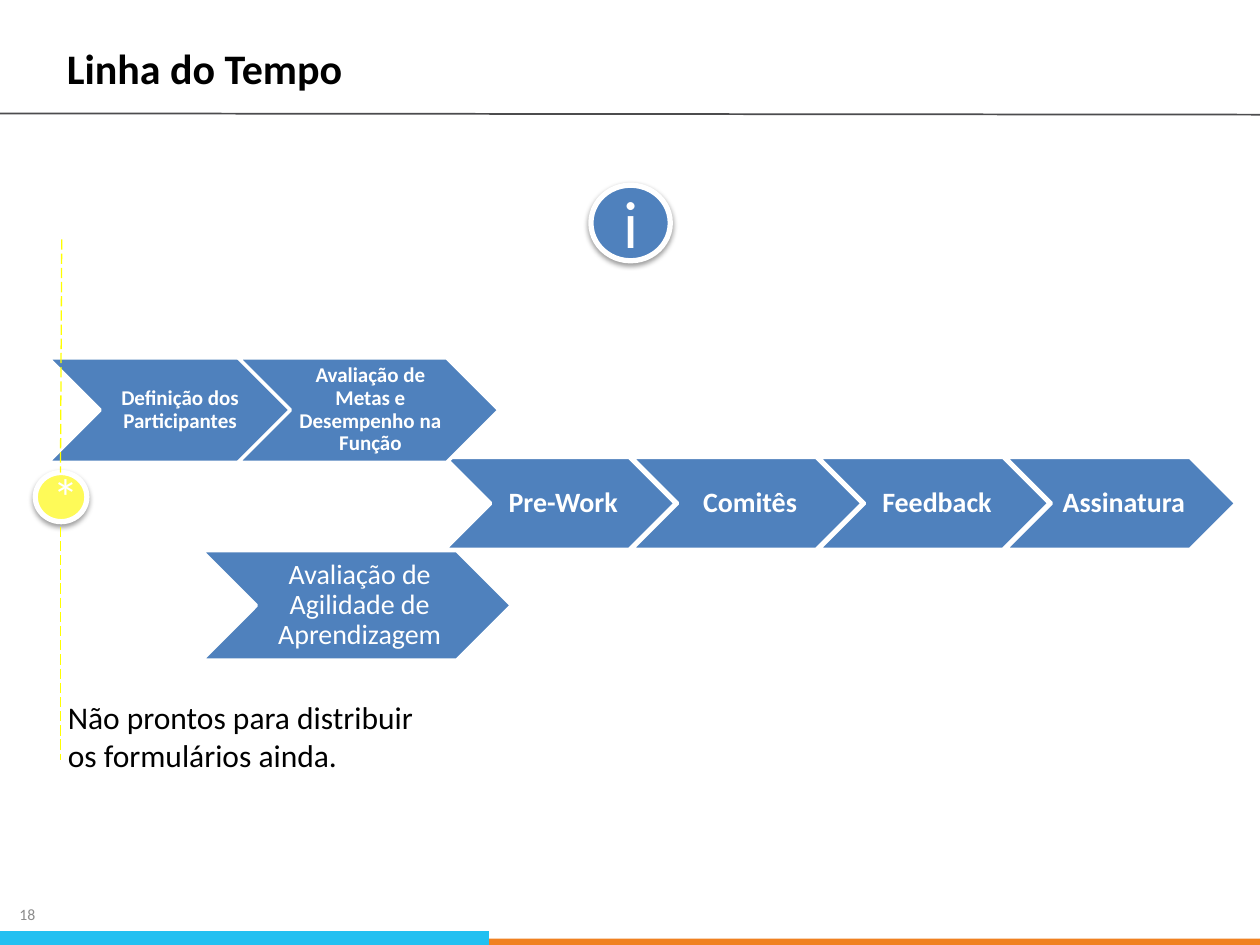
from lxml.etree import SubElement
from pptx import Presentation
from pptx.dml.color import RGBColor
from pptx.enum.dml import MSO_LINE
from pptx.enum.shapes import MSO_CONNECTOR, MSO_SHAPE
from pptx.enum.text import MSO_ANCHOR, PP_ALIGN
from pptx.oxml.ns import qn
from pptx.util import Inches, Pt

BLUE, WHITE, YELLOW = "4F81BD", "FFFFFF", "FEFA58"


def color(value):
    return RGBColor.from_string(value)


def write_text(shape, text, size=18, font="Calibri", fill="000000", bold=False,
               align=PP_ALIGN.LEFT, anchor=MSO_ANCHOR.TOP, spacing=1.0, insets=None):
    """Fill a shape with one paragraph; insets are left, top, right, bottom in inches."""
    frame = shape.text_frame
    frame.word_wrap = True
    frame.vertical_anchor = anchor
    if insets:
        (frame.margin_left, frame.margin_top,
         frame.margin_right, frame.margin_bottom) = map(Inches, insets)
    paragraph = frame.paragraphs[0]
    paragraph.alignment = align
    paragraph.line_spacing = spacing
    run = paragraph.add_run()
    run.text = text
    run.font.size = Pt(size)
    run.font.name = font
    run.font.bold = bold
    run.font.color.rgb = color(fill)


def add_text(slide, box, text, **text_format):
    write_text(slide.shapes.add_textbox(*map(Inches, box)), text, **text_format)


def add_shape(slide, kind, box, fill, line_width=0):
    shape = slide.shapes.add_shape(kind, *map(Inches, box))
    shape.shadow.inherit = False
    shape.fill.solid()
    shape.fill.fore_color.rgb = color(fill)
    if line_width:
        shape.line.color.rgb = color(WHITE)
        shape.line.width = Pt(line_width)
    else:
        shape.line.fill.background()
    return shape


def add_line(slide, start, end, line_color, width, dash=None):
    line = slide.shapes.add_connector(MSO_CONNECTOR.STRAIGHT, *map(Inches, start + end))
    line.line.color.rgb = color(line_color)
    line.line.width = Pt(width)
    if dash:
        line.line.dash_style = dash
    SubElement(line._element.spPr, qn("a:effectLst"))


def add_badge(slide, box, text, fill, size):
    """Draw a white-rimmed circle with a soft shadow below it."""
    badge = add_shape(slide, MSO_SHAPE.OVAL, box, fill, line_width=3)
    effects = badge._element.spPr.find(qn("a:effectLst"))
    shadow = SubElement(effects, qn("a:outerShdw"), blurRad=str(Pt(3.1)),
                        dist=str(Pt(1.6)), dir="5400000", rotWithShape="0")
    shadow_color = SubElement(shadow, qn("a:srgbClr"), val="000000")
    SubElement(shadow_color, qn("a:alpha"), val="38000")
    write_text(badge, text, size=size, font="Lato", fill=WHITE,
               align=PP_ALIGN.CENTER, anchor=MSO_ANCHOR.MIDDLE)


def add_steps(slide, labels, first_left, last_left, top, width, height,
              size=16, bold=True, left_inset=0.07):
    """Draw a row of chevrons evenly spaced from first_left to last_left."""
    pitch = (last_left - first_left) / max(len(labels) - 1, 1)
    for index, label in enumerate(labels):
        box = (first_left + index * pitch, top, width, height)
        step = add_shape(slide, MSO_SHAPE.CHEVRON, box, BLUE, line_width=2)
        write_text(step, label, size=size, fill=WHITE, bold=bold, spacing=0.9,
                   align=PP_ALIGN.CENTER, anchor=MSO_ANCHOR.MIDDLE,
                   insets=(left_inset, 0.02, 0.02, 0.02))


def add_title(slide, text):
    title = slide.shapes.title
    title.left, title.top, title.width, title.height = map(Inches, (0.43, 0.29, 5.45, 0.47))
    write_text(title, text, size=24, bold=True)


def add_page_frame(slide):
    add_shape(slide, MSO_SHAPE.RECTANGLE, (3.75, 7.45, 6.25, 0.05), "F08121")
    add_text(slide, (-0.18, 7.06, 0.56, 0.4), "18", size=9, fill="8C8C8C",
             align=PP_ALIGN.RIGHT, anchor=MSO_ANCHOR.MIDDLE)
    add_shape(slide, MSO_SHAPE.RECTANGLE, (0, 7.39, 3.88, 0.14), "22C0F1")
    add_line(slide, (0, 0.9), (10, 0.91), "4C4C4E", 1)


def main():
    presentation = Presentation()
    presentation.slide_width, presentation.slide_height = Inches(10), Inches(7.5)
    slide = presentation.slides.add_slide(presentation.slide_layouts[5])

    add_page_frame(slide)
    add_title(slide, "Linha do Tempo")
    add_badge(slide, (4.69, 1.47, 0.63, 0.6), "i", BLUE, 36)

    add_steps(slide, ["Avaliação de Agilidade de Aprendizagem"],
              1.6, 1.6, 4.37, 2.46, 0.87, bold=False)
    add_steps(slide, ["Pre-Work", "Comitês", "Feedback", "Assinatura"],
              3.53, 7.98, 3.63, 1.83, 0.73)
    add_steps(slide, ["Definição dos Participantes",
                      "Avaliação de Metas e Desempenho na Função"],
              0.38, 1.89, 2.84, 2.07, 0.83, size=12, left_inset=0.05)

    add_text(slide, (0.44, 5.49, 3.14, 0.71),
             "Não prontos para distribuir os formulários ainda.")
    add_badge(slide, (0.28, 3.75, 0.41, 0.39), "*", YELLOW, 28)
    for start, end in [((0.49, 1.9), (0.48, 3.75)), ((0.48, 4.18), (0.48, 6.03))]:
        add_line(slide, start, end, "FFFF00", 0.75, dash=MSO_LINE.LONG_DASH)

    presentation.save("out.pptx")


if __name__ == "__main__":
    main()
